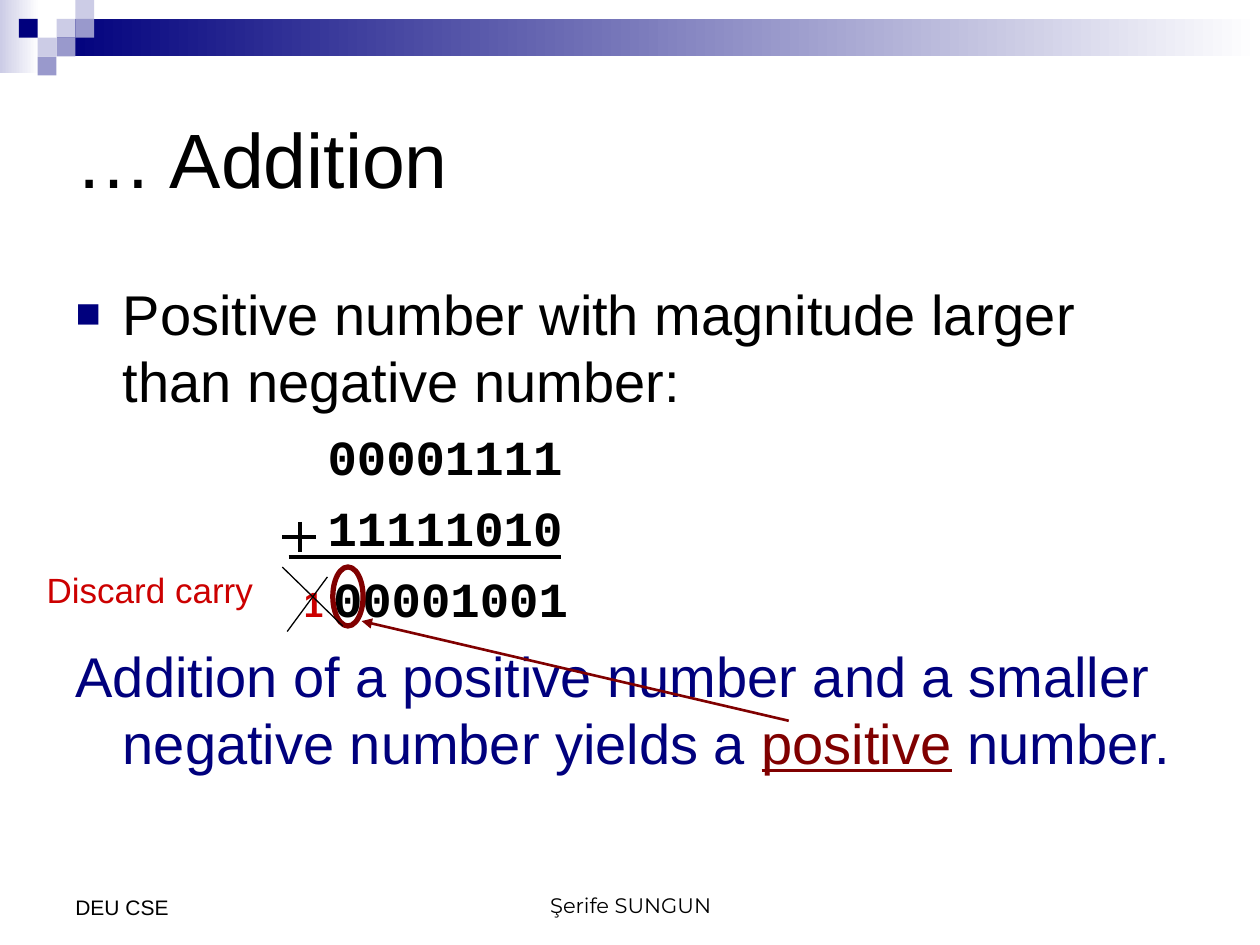
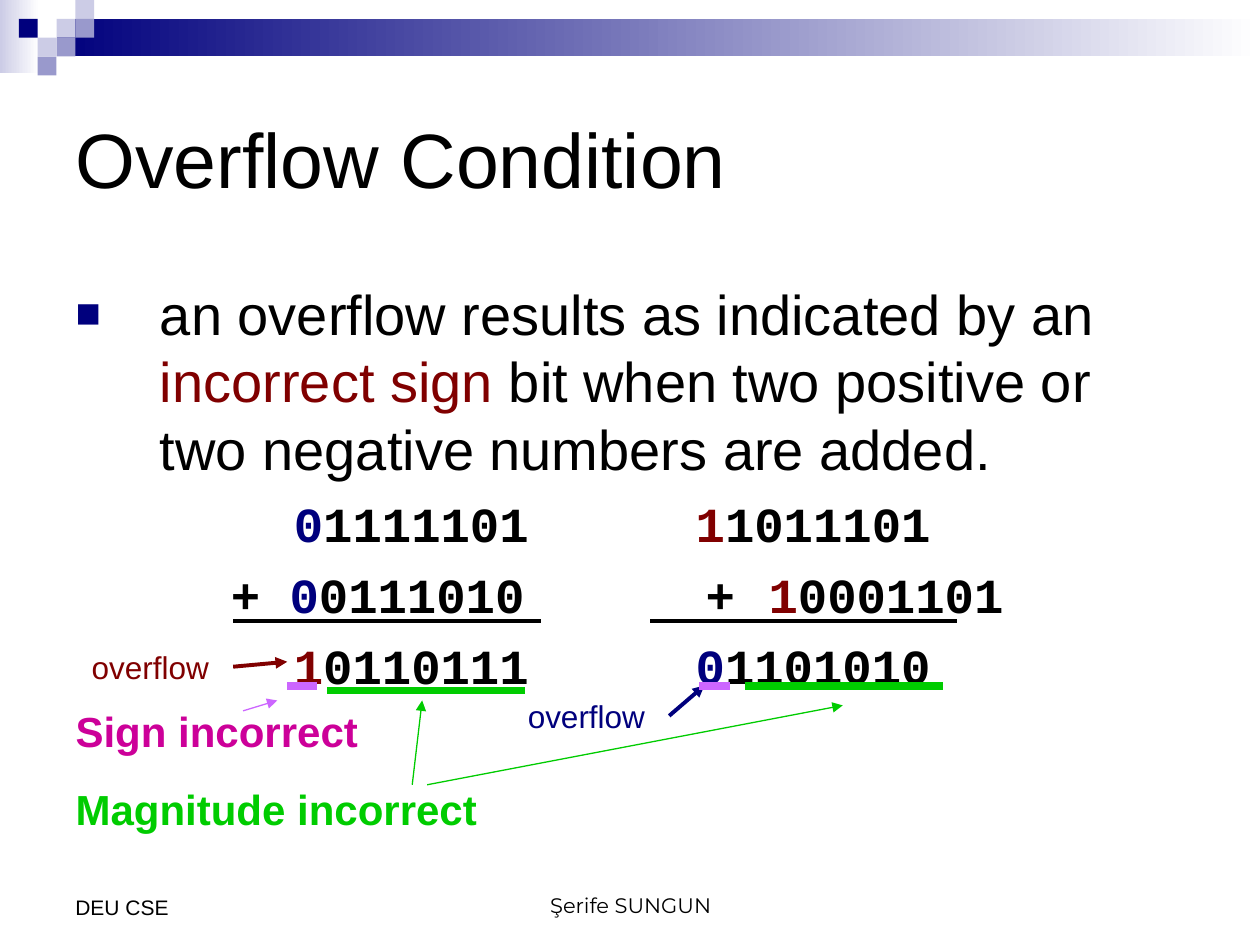
"""Build two slides on binary addition and the overflow condition."""
from dataclasses import dataclass

from lxml import etree
from pptx import Presentation
from pptx.dml.color import RGBColor
from pptx.enum.shapes import MSO_CONNECTOR, MSO_SHAPE
from pptx.enum.text import MSO_ANCHOR, MSO_AUTO_SIZE, PP_ALIGN
from pptx.oxml.ns import qn
from pptx.util import Cm, Pt

STRAIGHT = MSO_CONNECTOR.STRAIGHT
RECTANGLE, OVAL = MSO_SHAPE.RECTANGLE, MSO_SHAPE.OVAL
TOP, MIDDLE, BOTTOM = MSO_ANCHOR.TOP, MSO_ANCHOR.MIDDLE, MSO_ANCHOR.BOTTOM
LEFT, CENTER = PP_ALIGN.LEFT, PP_ALIGN.CENTER
NO_AUTOFIT = MSO_AUTO_SIZE.NONE


@dataclass(frozen=True)
class Theme:
    black: str = "000000"
    white: str = "FFFFFF"
    navy: str = "00007D"
    periwinkle: str = "9999CC"
    lavender: str = "CCCCE6"
    maroon: str = "800000"
    red: str = "CC0000"
    magenta: str = "CC0099"
    violet: str = "CC66FF"
    green: str = "00CC00"
    sans: str = "Arial"
    mono: str = "Courier New"
    footer_font: str = "Montserrat"
    title_size: int = 44
    body_size: int = 32
    digit_size: int = 28
    callout_size: int = 24
    note_size: int = 20
    overflow_size: int = 18
    footer_size: int = 12


theme = Theme()


@dataclass
class TextLine:
    runs: list
    size: int = theme.body_size
    font: str = theme.sans
    color: str = theme.black
    bold: bool = False
    level: int = 0
    left: float = 0
    indent: float = 0
    space_before: float = 0
    bullet: bool = False
    align: object = LEFT


def write_line(paragraph, line):
    paragraph.level = line.level
    paragraph.alignment = line.align
    paragraph.space_before = Pt(line.space_before)
    properties = paragraph._p.get_or_add_pPr()
    properties.set("marL", str(Cm(line.left)))
    properties.set("indent", str(Cm(line.indent)))
    properties.set("defTabSz", str(Cm(1.27)))
    if line.bullet:
        bullet_color = etree.SubElement(properties, qn("a:buClr"))
        etree.SubElement(bullet_color, qn("a:srgbClr"), val=theme.navy)
        etree.SubElement(properties, qn("a:buSzPct"), val="75000")
        etree.SubElement(properties, qn("a:buFont"), typeface=theme.sans)
        etree.SubElement(properties, qn("a:buChar"), char="■")
    else:
        etree.SubElement(properties, qn("a:buNone"))
    paragraph.font.size = Pt(line.size)
    paragraph.font.name = line.font
    paragraph.font.bold = line.bold
    paragraph.font.color.rgb = RGBColor.from_string(line.color)
    for text, *style in line.runs:
        run = paragraph.add_run()
        run.text = text
        if style:
            run.font.color.rgb = RGBColor.from_string(style[0])
        if "underline" in style:
            run.font.underline = True
        if "small" in style:
            run.font.size = Pt(theme.note_size)
            run.font.name = theme.sans


def add_line(slide, start, end, color, width, arrow=False):
    connector = slide.shapes.add_connector(
        STRAIGHT, *[Cm(value) for value in (*start, *end)])
    connector.line.color.rgb = RGBColor.from_string(color)
    connector.line.width = Pt(width)
    if arrow:
        etree.SubElement(connector.line._get_or_add_ln(), qn("a:tailEnd"), type="triangle")
    etree.SubElement(connector._element.spPr, qn("a:effectLst"))


digits = dict(size=theme.digit_size, font=theme.mono, bold=True, space_before=7)
top_number = dict(digits, level=4, indent=5.08)
number_pair = dict(digits, level=3, left=1.07, indent=3.33)

square = 0.38
squares = [
    (3, 1, theme.lavender), (4, 0, theme.lavender), (4, 1, theme.periwinkle),
    (2, 2, theme.lavender), (1, 1, theme.navy), (3, 2, theme.periwinkle),
    (2, 3, theme.periwinkle),
]
bands = [
    ((0, 0, 0.79, 1.47), (theme.lavender, theme.white)),
    ((1.14, 0.38, 24.26, 0.76), (theme.navy, theme.white)),
]
bands += [((column * square, row * square, square, square), (color,))
          for column, row, color in squares]

footers = [
    ((8.69, 17.35, 8.05, 1.27), BOTTOM,
     TextLine([("Şerife SUNGUN",)], theme.footer_size, theme.footer_font, align=CENTER)),
    ((1.27, 17.35, 5.92, 1.32), BOTTOM, TextLine([("DEU CSE",)], theme.footer_size)),
]

addition = dict(
    title="… Addition",
    body_height=10.8,
    body=[
        TextLine([("Positive number with magnitude larger than negative number:",)],
                 left=0.95, indent=-0.95, bullet=True),
        TextLine([("00001111",)], **top_number),
        TextLine([("11111010",)], **top_number),
        TextLine([("1 ", theme.red, "small"), ("00001001",)],
                 **dict(digits, level=3, indent=4.6)),
        TextLine([("Addition of a positive number and a smaller negative number yields a ",),
                  ("positive", theme.maroon, "underline"), (" number.",)],
                 color=theme.navy, left=0.95, indent=-0.95, space_before=8),
    ],
    labels=[
        ((0.69, 11.33, 6.71, 1.12), TOP,
         TextLine([("Discard carry",)], theme.note_size, color=theme.red)),
    ],
    lines=[
        ((5.82, 11.23), (11.3, 11.23), theme.black, 2.25),
        ((5.69, 10.82), (6.38, 10.82), theme.black, 2.25),
        ((6.05, 10.52), (6.05, 11.13), theme.black, 2.25),
        ((5.69, 11.43), (6.91, 12.62), theme.black, 0.75),
        ((6.6, 11.63), (5.79, 12.73), theme.black, 0.75),
        ((15.9, 14.53), (7.29, 12.52), theme.maroon, 1.5, True),
    ],
    sign_rings=[(6.71, 11.43, 0.61, 1.19)],
)

overflow = dict(
    title="Overflow Condition",
    body_height=11.63,
    body=[
        TextLine([("an overflow results as indicated by an ",),
                  ("incorrect sign", theme.maroon),
                  (" bit when two positive or two negative numbers are added.",)],
                 left=1.7, indent=-1.7, bullet=True),
        TextLine([("0", theme.navy), ("1111101\t\t\t",), ("1", theme.maroon), ("1011101",)],
                 **number_pair),
        TextLine([("+ ",), ("0", theme.navy), ("0111010\t\t\t+\t",),
                  ("1", theme.maroon), ("0001101",)],
                 **dict(digits, level=2, indent=3.13)),
        TextLine([("1", theme.maroon), ("0110111\t\t\t",), ("0", theme.navy), ("1101010",)],
                 **number_pair),
        TextLine([("Sign incorrect",)], theme.callout_size, color=theme.magenta,
                 bold=True, space_before=6),
        TextLine([("Magnitude incorrect",)], theme.callout_size, color=theme.green,
                 bold=True, space_before=16),
    ],
    labels=[
        ((left, top, 3.71, 1.02), TOP,
         TextLine([("overflow",)], theme.overflow_size, color=color))
        for left, top, color in [(1.6, 12.93, theme.maroon), (10.39, 13.92, theme.navy)]
    ],
    lines=[
        ((4.7, 12.52), (10.9, 12.52), theme.black, 2.25),
        ((4.7, 13.44), (5.79, 13.34), theme.maroon, 2.25, True),
        ((13.11, 12.52), (19.3, 12.52), theme.black, 2.25),
        ((13.49, 14.43), (14.2, 13.82), theme.navy, 2.25, True),
        ((6.6, 13.92), (10.59, 13.92), theme.green, 4.5),
        ((8.31, 15.82), (8.51, 14.12), theme.green, 0.75, True),
        ((15.01, 13.82), (19, 13.82), theme.green, 4.5),
        ((14.1, 13.82), (14.71, 13.82), theme.violet, 4.5),
        ((4.9, 14.33), (5.59, 14.12), theme.violet, 0.75, True),
        ((8.61, 15.82), (16.99, 14.22), theme.green, 0.75, True),
        ((5.79, 13.82), (6.4, 13.82), theme.violet, 4.5),
    ],
    sign_rings=[],
)

presentation = Presentation()
presentation.slide_width, presentation.slide_height = Cm(25.4), Cm(19.05)

for content in (addition, overflow):
    slide = presentation.slides.add_slide(presentation.slide_layouts[1])

    for box, colors in bands:
        band = slide.shapes.add_shape(RECTANGLE, *[Cm(value) for value in box])
        band.shadow.inherit = False
        band.line.fill.background()
        if len(colors) == 1:
            band.fill.solid()
            band.fill.fore_color.rgb = RGBColor.from_string(colors[0])
        else:
            band.fill.gradient()
            band.fill.gradient_angle = 0
            for stop, color in zip(band.fill.gradient_stops, colors):
                stop.color.rgb = RGBColor.from_string(color)

    title, body = slide.shapes.title, slide.placeholders[1]
    title_line = TextLine([(content["title"],)], theme.title_size)
    for placeholder, top, height, anchor, text_lines in [
        (title, 1.27, 3.81, MIDDLE, [title_line]),
        (body, 5.51, content["body_height"], TOP, content["body"]),
    ]:
        placeholder.left, placeholder.top = Cm(1.27), Cm(top)
        placeholder.width, placeholder.height = Cm(22.86), Cm(height)
        frame = placeholder.text_frame
        frame.auto_size = NO_AUTOFIT
        frame.vertical_anchor = anchor
        for index, text_line in enumerate(text_lines):
            paragraph = frame.add_paragraph() if index else frame.paragraphs[0]
            write_line(paragraph, text_line)

    for box, anchor, text_line in footers + content["labels"]:
        label = slide.shapes.add_textbox(*[Cm(value) for value in box])
        label.text_frame.word_wrap = True
        label.text_frame.vertical_anchor = anchor
        write_line(label.text_frame.paragraphs[0], text_line)

    for box in content["sign_rings"]:
        ring = slide.shapes.add_shape(OVAL, *[Cm(value) for value in box])
        ring.shadow.inherit = False
        ring.fill.background()
        ring.line.color.rgb = RGBColor.from_string(theme.maroon)
        ring.line.width = Pt(3)

    for line in content["lines"]:
        add_line(slide, *line)

presentation.save("out.pptx")
